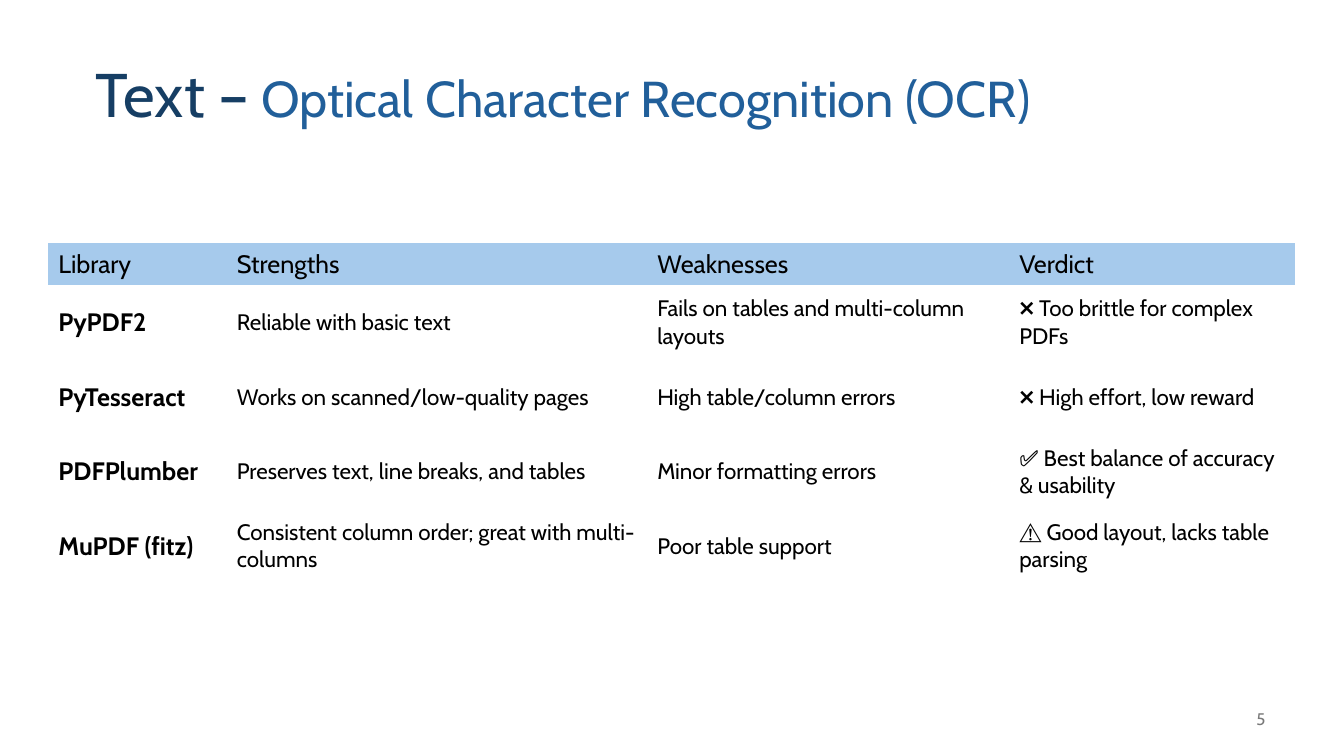
import pptx
import pptx.dml.color
import pptx.enum.text
import pptx.oxml.ns
import pptx.util

Inches = pptx.util.Inches
Pt = pptx.util.Pt
RGBColor = pptx.dml.color.RGBColor
MIDDLE = pptx.enum.text.MSO_ANCHOR.MIDDLE
ALIGN = pptx.enum.text.PP_ALIGN

NAVY = RGBColor(0x16, 0x3E, 0x64)
BLUE = RGBColor(0x21, 0x5F, 0x9A)
LIGHT_BLUE = RGBColor(0xA6, 0xCA, 0xEC)
GRAY = RGBColor(0x79, 0x79, 0x79)
BLACK = RGBColor(0x00, 0x00, 0x00)

PLAIN_TABLE_STYLE = "{2D5ABB26-0587-4C30-8999-92F81FD0307C}"

COLUMN_WIDTHS = [1.77, 4.17, 3.59, 2.84]
HEADER_HEIGHT = 0.42
ROW_HEIGHT = 0.74
LIBRARIES = [
    ["Library", "Strengths", "Weaknesses", "Verdict"],
    ["PyPDF2", "Reliable with basic text",
     "Fails on tables and multi-column layouts", "❌ Too brittle for complex PDFs"],
    ["PyTesseract", "Works on scanned/low-quality pages",
     "High table/column errors", "❌ High effort, low reward"],
    ["PDFPlumber", "Preserves text, line breaks, and tables",
     "Minor formatting errors", "✅ Best balance of accuracy & usability"],
    ["MuPDF (fitz)", "Consistent column order; great with multi-columns",
     "Poor table support", "⚠️ Good layout, lacks table parsing"],
]


class SlideBuilder:
    font_name = "Cabin"

    def __init__(self, slide):
        self.slide = slide

    def add_run(self, paragraph, text, size, color, bold=False):
        run = paragraph.add_run()
        run.text = text
        run.font.name = self.font_name
        run.font.size = Pt(size)
        run.font.bold = bold
        run.font.color.rgb = color

    def add_text(self, left, top, width, height, runs, align=ALIGN.LEFT, line_spacing=1.0):
        shape = self.slide.shapes.add_textbox(
            Inches(left), Inches(top), Inches(width), Inches(height))
        frame = shape.text_frame
        frame.word_wrap = True
        frame.vertical_anchor = MIDDLE
        paragraph = frame.paragraphs[0]
        paragraph.alignment = align
        paragraph.line_spacing = line_spacing
        for text, size, color in runs:
            self.add_run(paragraph, text, size, color)

    def add_table(self, left, top, rows, widths, heights):
        shape = self.slide.shapes.add_table(
            len(rows), len(widths), Inches(left), Inches(top),
            Inches(sum(widths)), Inches(sum(heights)))
        table = shape.table
        table.horz_banding = False
        style = shape._element.find(".//" + pptx.oxml.ns.qn("a:tableStyleId"))
        style.text = PLAIN_TABLE_STYLE

        for column, width in zip(table.columns, widths):
            column.width = Inches(width)
        for row_index, (texts, height) in enumerate(zip(rows, heights)):
            table.rows[row_index].height = Inches(height)
            for column_index, text in enumerate(texts):
                self.fill_cell(table.cell(row_index, column_index), text,
                               is_header=row_index == 0, is_name=column_index == 0)

    def fill_cell(self, cell, text, is_header, is_name):
        cell.vertical_anchor = MIDDLE
        if is_header:
            cell.fill.solid()
            cell.fill.fore_color.rgb = LIGHT_BLUE
        else:
            cell.fill.background()
        size = 18 if is_header or is_name else 16
        self.add_run(cell.text_frame.paragraphs[0], text, size, BLACK,
                     bold=is_name and not is_header)


def main():
    presentation = pptx.Presentation()
    presentation.slide_width = Inches(13.33)
    presentation.slide_height = Inches(7.5)
    builder = SlideBuilder(presentation.slides.add_slide(presentation.slide_layouts[6]))

    # Title
    builder.add_text(0.85, 0.24, 11.5, 1.45,
                     [("Text –", 44, NAVY),
                      (" Optical Character Recognition (OCR)", 36, BLUE)],
                     line_spacing=0.9)

    # Library comparison
    heights = [HEADER_HEIGHT] + [ROW_HEIGHT] * (len(LIBRARIES) - 1)
    builder.add_table(0.48, 2.41, LIBRARIES, COLUMN_WIDTHS, heights)

    # Slide number
    builder.add_text(9.76, 6.93, 2.89, 0.4, [("5", 12, GRAY)], align=ALIGN.RIGHT)

    presentation.save("out.pptx")


if __name__ == "__main__":
    main()
